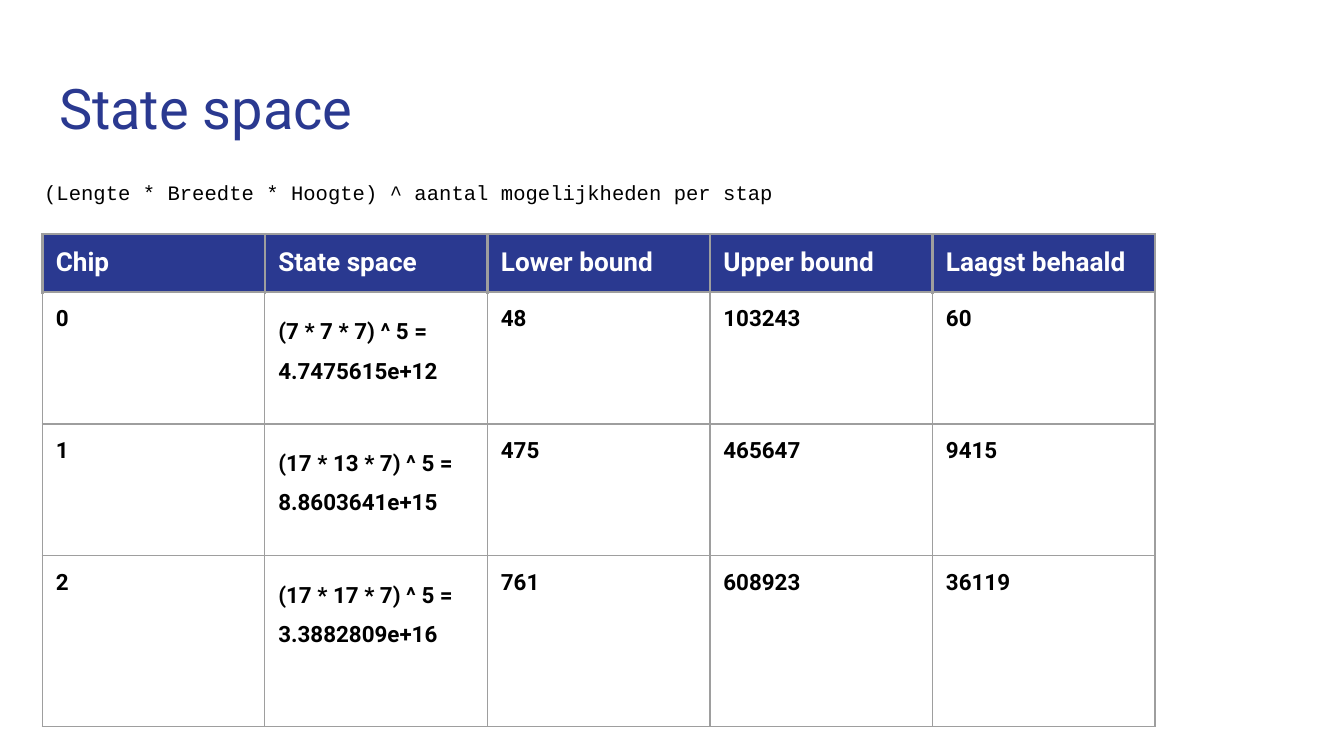
from lxml import etree
from pptx import Presentation
from pptx import util as u
from pptx.dml import color
from pptx.enum import text
from pptx.oxml import ns

COLOURS = {"navy": "2A3990", "white": "FFFFFF", "black": "000000", "rule": "9E9E9E"}
WIDTH = u.Inches(10)
HEIGHT = WIDTH * 9 // 16
INSET = u.Inches(0.1)
MARGINS = dict.fromkeys(("margin_left", "margin_right", "margin_top", "margin_bottom"), INSET)
FRAME = {**MARGINS, "word_wrap": True, "vertical_anchor": text.MSO_ANCHOR.TOP}
CELL = {**MARGINS, "vertical_anchor": text.MSO_ANCHOR.TOP}
TITLE = {"name": "Roboto", "size": u.Pt(30), "bold": False}
FORMULA = {"name": "Courier New", "size": u.Pt(11), "bold": False}
HEADING = {"name": "Roboto", "size": u.Pt(14), "bold": True}
VALUE = {"name": "Roboto", "size": u.Pt(12), "bold": True}

CHIPS = [
    ("Chip", "State space", "Lower bound", "Upper bound", "Laagst behaald"),
    ("0", "(7 * 7 * 7) ^ 5 = 4.7475615e+12", "48", "103243", "60"),
    ("1", "(17 * 13 * 7) ^ 5 = 8.8603641e+15", "475", "465647", "9415"),
    ("2", "(17 * 17 * 7) ^ 5 = 3.3882809e+16", "761", "608923", "36119"),
]
ROW_WEIGHTS = (0.43, 0.98, 0.98, 1.27)
STATE_SPACE = 1


def rgb(name):
    """Return the named colour."""
    return color.RGBColor.from_string(COLOURS[name])


def area(left, top, width, height):
    """Turn percentages of the slide's size into a box."""
    shares = zip((left, top, width, height), (WIDTH, HEIGHT) * 2)
    return [int(percent * side / 100) for percent, side in shares]


def apply(target, values):
    """Set each named attribute of the target."""
    for name, value in values.items():
        setattr(target, name, value)


def write(paragraph, words, font, colour, spacing=1.0):
    """Put one formatted run in a paragraph."""
    run = paragraph.add_run()
    run.text = words
    apply(run.font, font)
    run.font.color.rgb = rgb(colour)
    paragraph.line_spacing = spacing


def add_line(slide, box, words, font, colour, spacing=1.0):
    """Place a single line of text in the box."""
    frame = slide.shapes.add_textbox(*box).text_frame
    apply(frame, FRAME)
    write(frame.paragraphs[0], words, font, colour, spacing)


def add_borders(cell, points):
    """Draw the cell's sides, with a width in points for each."""
    properties = cell._tc.get_or_add_tcPr()
    for side, width in points.items():
        line = etree.SubElement(properties, ns.qn(f"a:ln{side}"), w=str(u.Pt(width)))
        fill = etree.SubElement(line, ns.qn("a:solidFill"))
        etree.SubElement(fill, ns.qn("a:srgbClr"), val=COLOURS["rule"])


def fill_cell(cell, words, row, column):
    """Format and fill one cell by its place in the table."""
    header = row == 0
    apply(cell, CELL)
    sides = dict.fromkeys("LRTB", 1.5 if header else 0.75)
    if row == 1:
        sides["T"] = 1.5
    add_borders(cell, sides)
    if header:
        cell.fill.solid()
        cell.fill.fore_color.rgb = rgb("navy")
    else:
        cell.fill.background()
    spacing = 1.5 if column == STATE_SPACE and not header else 1.0
    write(cell.text_frame.paragraphs[0], words, HEADING if header else VALUE,
          "white" if header else "black", spacing)


def add_chip_table(slide, box):
    """Place the table of chips, with equal columns, in the box."""
    left, top, width, height = box
    columns = len(CHIPS[0])
    table = slide.shapes.add_table(len(CHIPS), columns, left, top, width, height).table
    apply(table, {"first_row": False, "horz_banding": False})
    for column in table.columns:
        column.width = width // columns
    for row, weight in zip(table.rows, ROW_WEIGHTS):
        row.height = int(height * weight / sum(ROW_WEIGHTS))
    for row, chip in enumerate(CHIPS):
        for column, words in enumerate(chip):
            fill_cell(table.cell(row, column), words, row, column)


def main():
    """Build and save the slide."""
    deck = Presentation()
    apply(deck, {"slide_width": WIDTH, "slide_height": HEIGHT})
    slide = deck.slides.add_slide(deck.slide_layouts[6])
    add_line(slide, area(3.41, 8, 93.2, 11.7), "State space", TITLE, "navy")
    add_chip_table(slide, area(3.15, 30.95, 82.8, 65.1))
    add_line(slide, area(2.3, 20.45, 83.7, 11.7),
             "(Lengte * Breedte * Hoogte) ^ aantal mogelijkheden per stap",
             FORMULA, "black", 1.5)
    deck.save("out.pptx")


if __name__ == "__main__":
    main()
